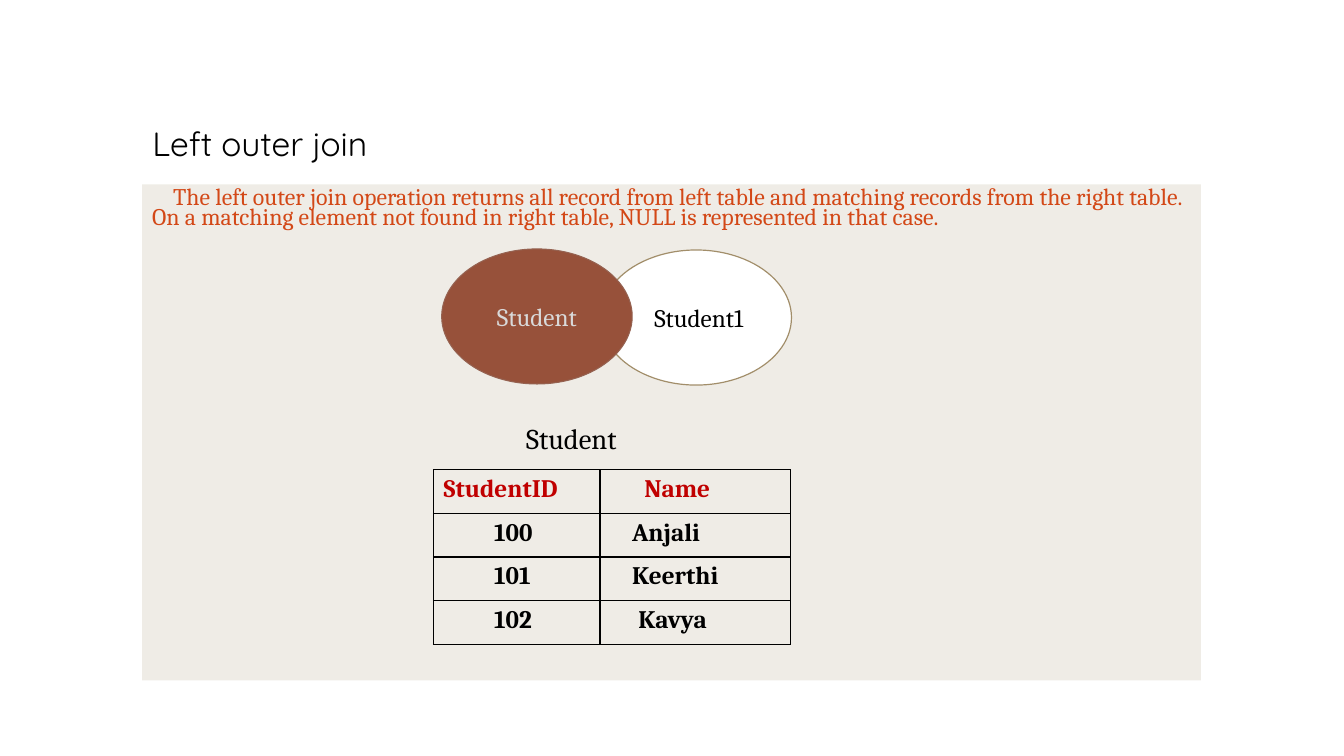
from lxml import etree
from pptx import Presentation
from pptx import util as u
from pptx.dml.color import RGBColor
from pptx.enum import shapes, text
from pptx.oxml import ns

THEME = {
    "serif": "Cambria", "heading": "Quicksand",
    "black": "000000", "white": "FFFFFF", "panel": "E9E5DC",
    "accent": "D34817", "header": "C00000", "pale": "D9D9D9",
    "left": "97513A", "left_edge": "956251", "right_edge": "A28E6A",
    "title_pt": 24, "intro_pt": 17, "label_pt": 18, "caption_pt": 20.4,
}

deck = Presentation()
deck.slide_width, deck.slide_height = u.Inches(13.33), u.Inches(7.5)
slide = deck.slides.add_slide(deck.slide_layouts[5])


def share(x, y, w, h):
    wide, high = deck.slide_width / 100, deck.slide_height / 100
    return [round(v) for v in (x * wide, y * high, w * wide, h * high)]


def write(frame, words, color, size, font="serif", **layout):
    frame.word_wrap = True
    paragraph = frame.paragraphs[0]
    for name, value in layout.items():
        setattr(paragraph, name, value)
    run = paragraph.add_run()
    run.text = words
    for name, value in {"name": THEME[font], "size": u.Pt(THEME[size])}.items():
        setattr(run.font, name, value)
    run.font.color.rgb = RGBColor.from_string(THEME[color])
    return run


title = slide.shapes.title
title.left, title.top, title.width, title.height = share(10.58, 5.6, 78.77, 16.67)
title.text_frame.auto_size = text.MSO_AUTO_SIZE.NONE
title.text_frame.vertical_anchor = text.MSO_ANCHOR.BOTTOM
write(title.text_frame, "Left outer join", "black", "title_pt", "heading",
      alignment=text.PP_ALIGN.LEFT, line_spacing=0.9)

panel = slide.shapes.add_shape(shapes.MSO_SHAPE.RECTANGLE, *share(10.58, 24.4, 78.77, 65.6))
panel.shadow.inherit = False
panel.fill.solid()
panel.fill.fore_color.rgb = RGBColor.from_string(THEME["panel"])
tint = panel.fill._xPr.find(".//" + ns.qn("a:srgbClr"))
etree.SubElement(tint, ns.qn("a:alpha"), val="70000")
panel.line.fill.background()
panel.text_frame.vertical_anchor = text.MSO_ANCHOR.TOP
write(panel.text_frame,
      "The left outer join operation returns all record from left table and matching "
      "records from the right table. On a matching element not found in right table, "
      "NULL is represented in that case.",
      "accent", "intro_pt", alignment=text.PP_ALIGN.LEFT, line_spacing=0.7)
indent = panel.text_frame.paragraphs[0]._p.get_or_add_pPr()
indent.set("marL", "0")
indent.set("indent", str(u.Inches(0.21)))

circles = [
    ("Student1", 44.71, 33.07, "white", "right_edge", 0.85, "black", 0.15),
    ("Student", 32.86, 32.93, "left", "left_edge", 0.75, "pale", 0.1),
]
for name, x, y, fill, edge, weight, ink, margin in circles:
    circle = slide.shapes.add_shape(shapes.MSO_SHAPE.OVAL, *share(x, y, 14.18, 17.87))
    circle.shadow.inherit = False
    circle.fill.solid()
    circle.fill.fore_color.rgb = RGBColor.from_string(THEME[fill])
    circle.line.color.rgb = RGBColor.from_string(THEME[edge])
    circle.line.width = u.Pt(weight)
    circle.text_frame.margin_left = u.Inches(margin)
    circle.text_frame.vertical_anchor = text.MSO_ANCHOR.MIDDLE
    write(circle.text_frame, name, ink, "label_pt", alignment=text.PP_ALIGN.CENTER)

caption = slide.shapes.add_textbox(*share(38.41, 55.07, 15, 5.87)).text_frame
caption.vertical_anchor = text.MSO_ANCHOR.MIDDLE
write(caption, "Student", "black", "caption_pt")

records = [
    [("StudentID", 0), ("Name", 0.34)],
    [("100", 0.5), ("Anjali", 0.22)],
    [("101", 0.5), ("Keerthi", 0.22)],
    [("102", 0.5), ("Kavya", 0.28)],
]
students = slide.shapes.add_table(len(records), 2, *share(32.26, 62.13, 26.56, 23.08)).table
for column, width in zip(students.columns, (12.38, 14.18)):
    column.width = share(0, 0, width, 0)[2]
for r, record in enumerate(records):
    for c, (value, inset) in enumerate(record):
        cell = students.cell(r, c)
        cell.margin_left = u.Inches(0.1 + inset)
        ink = "black" if r else "header"
        write(cell.text_frame, value, ink, "label_pt").font.bold = True
        borders = cell._tc.get_or_add_tcPr()
        for side in ("lnL", "lnR", "lnT", "lnB"):
            line = etree.SubElement(borders, ns.qn("a:" + side), w=str(u.Pt(1)))
            paint = etree.SubElement(line, ns.qn("a:solidFill"))
            etree.SubElement(paint, ns.qn("a:srgbClr"), val=THEME["black"])
        cell.fill.background()

deck.save("out.pptx")
